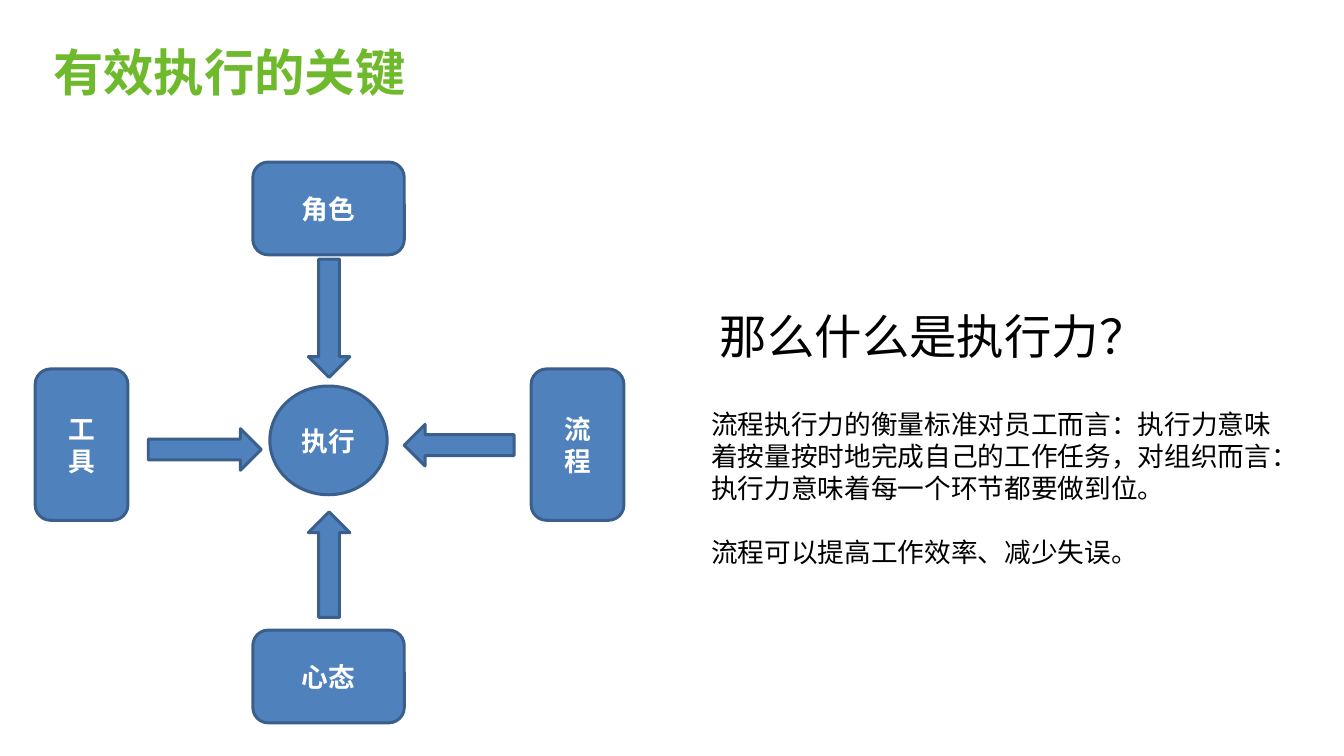
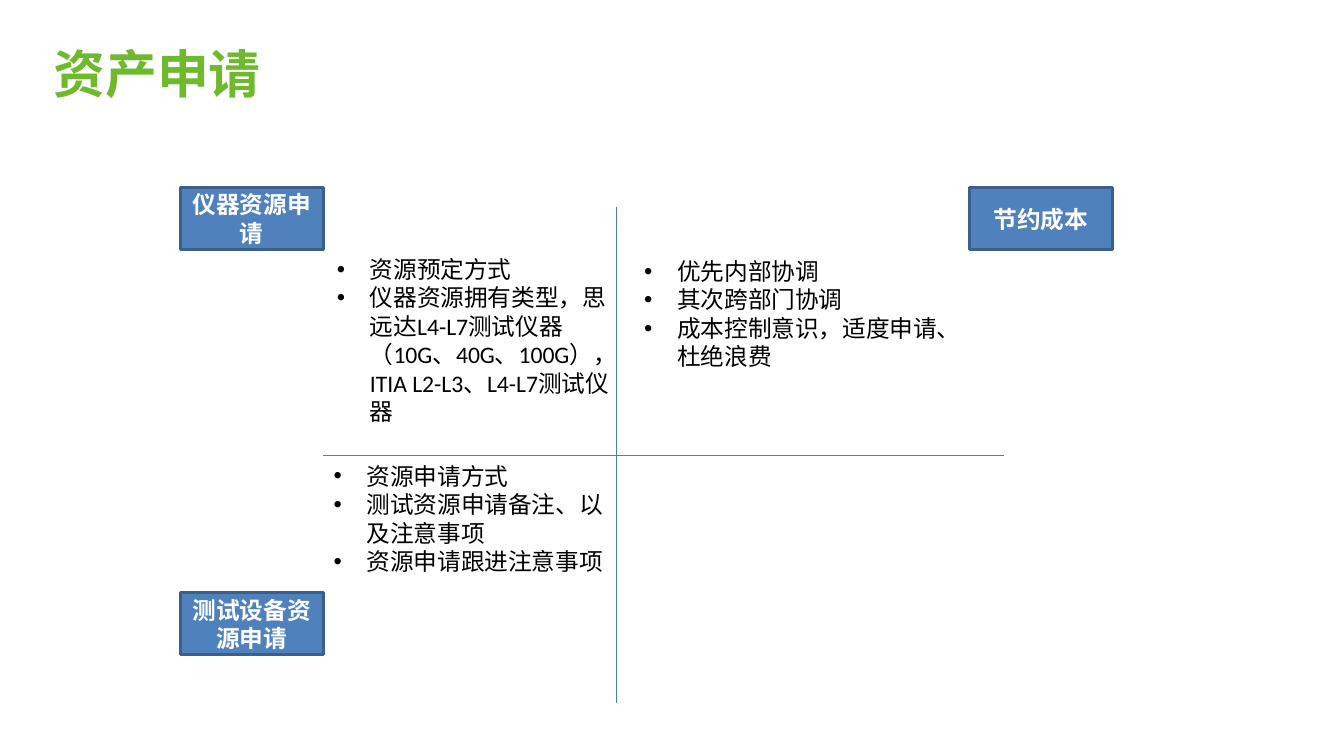
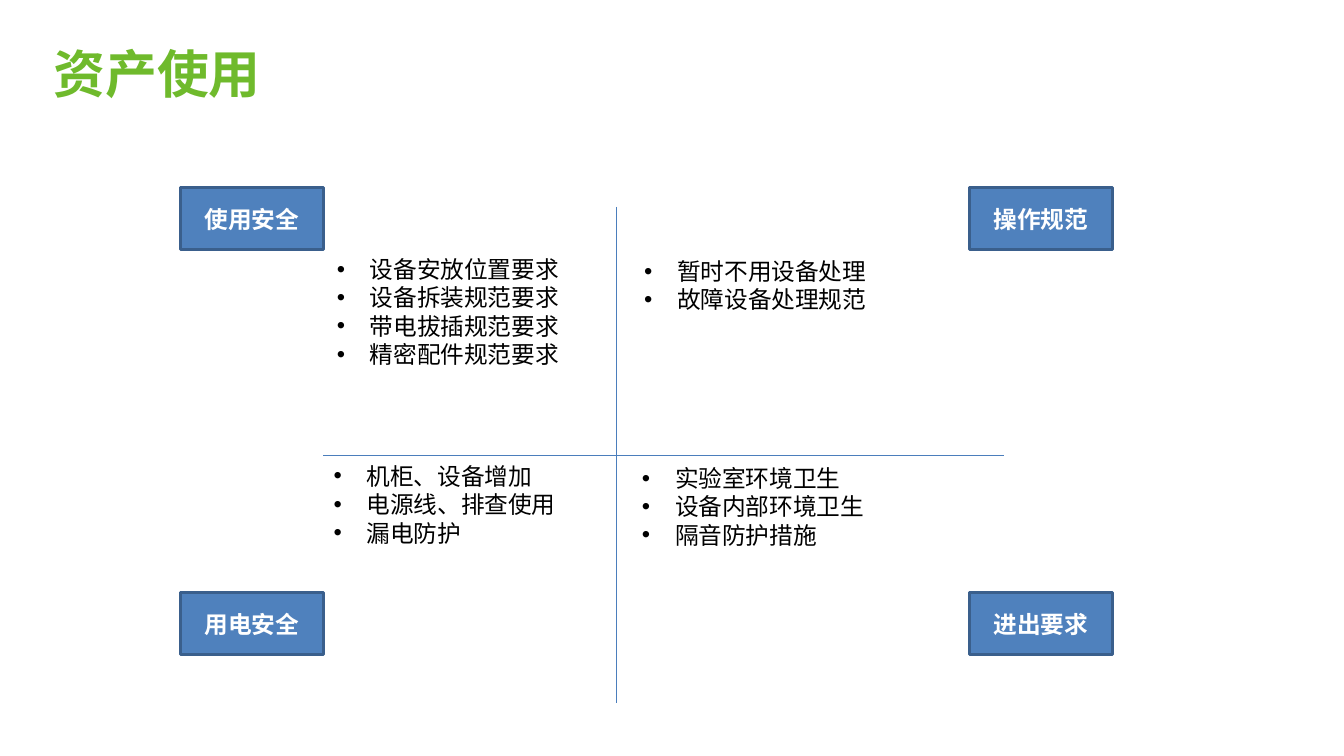
from lxml import etree
from pptx import Presentation
from pptx.dml.color import RGBColor
from pptx.enum.shapes import MSO_CONNECTOR, MSO_SHAPE
from pptx.enum.text import MSO_ANCHOR, MSO_AUTO_SIZE, PP_ALIGN
from pptx.oxml.ns import qn
from pptx.util import Inches, Pt

RECT, ROUND, OVAL = MSO_SHAPE.RECTANGLE, MSO_SHAPE.ROUNDED_RECTANGLE, MSO_SHAPE.OVAL
RIGHT, LEFT = MSO_SHAPE.RIGHT_ARROW, MSO_SHAPE.LEFT_ARROW
DOWN, UP = MSO_SHAPE.DOWN_ARROW, MSO_SHAPE.UP_ARROW
STRAIGHT = MSO_CONNECTOR.STRAIGHT
TOP, MIDDLE = MSO_ANCHOR.TOP, MSO_ANCHOR.MIDDLE
START, CENTER = PP_ALIGN.LEFT, PP_ALIGN.CENTER
FIXED = MSO_AUTO_SIZE.NONE

COLORS = {"title": "6FBA2C", "fill": "4F81BD", "edge": "3A5F8C",
          "axis": "4B7EBC", "text": "000000", "light": "FFFFFF"}
LATIN, HAN = "Calibri", "Noto Sans CJK SC"


def color(name):
    return RGBColor.from_string(COLORS[name])


class Deck:
    def __init__(self):
        self.prs = Presentation()
        self.prs.slide_width, self.prs.slide_height = Inches(12.6), Inches(7.09)
        self.slide = None

    def style(self, frame, size, tint, bold=False, face=LATIN, align=START):
        for para in frame.paragraphs:
            para.alignment = align
            for run in para.runs:
                font = run.font
                font.size, font.bold, font.name = Pt(size), bold, face
                font.color.rgb = color(tint)
                # East Asian typeface
                etree.SubElement(font._element, qn("a:ea"), typeface=HAN)

    def page(self, title, size, width):
        self.slide = self.prs.slides.add_slide(self.prs.slide_layouts[5])
        head = self.slide.shapes.title
        head.left, head.top = Inches(0.4), Inches(0.34)
        head.width, head.height = Inches(width), Inches(0.68)
        frame = head.text_frame
        frame.text = title
        frame.word_wrap, frame.auto_size = True, FIXED
        frame.vertical_anchor = TOP
        self.style(frame, size, "title", True, HAN)

    def box(self, kind, left, top, width, height, text="", size=18):
        shape = self.slide.shapes.add_shape(
            kind, Inches(left), Inches(top), Inches(width), Inches(height))
        shape.shadow.inherit = False
        shape.fill.solid()
        shape.fill.fore_color.rgb = color("fill")
        shape.line.color.rgb = color("edge")
        shape.line.width = Pt(2)
        if text:
            frame = shape.text_frame
            frame.text = text
            frame.word_wrap, frame.vertical_anchor = True, MIDDLE
            self.style(frame, size, "light", True, align=CENTER)

    def text(self, left, top, width, height, lines, size, bullet=False, gap=0):
        area = self.slide.shapes.add_textbox(
            Inches(left), Inches(top), Inches(width), Inches(height))
        frame = area.text_frame
        frame.text = "\n".join(lines)
        frame.word_wrap = True
        for para in frame.paragraphs:
            if bullet:
                props = para._p.get_or_add_pPr()
                props.set("marL", str(Inches(0.31)))
                props.set("indent", str(-Inches(0.31)))
                etree.SubElement(props, qn("a:buFont"), typeface="Arial")
                etree.SubElement(props, qn("a:buChar"), char="•")
        if gap:
            for para in frame.paragraphs[1:]:
                para.space_before = Pt(gap)
        self.style(frame, size, "text")

    def line(self, *ends):
        rule = self.slide.shapes.add_connector(STRAIGHT, *map(Inches, ends))
        rule.line.color.rgb = color("axis")
        rule.line.width = Pt(0.75)
        etree.SubElement(rule._element.spPr, qn("a:effectLst"))

    def quad(self, title, parts):
        """Four fields around a cross, in the order of FIELDS."""
        self.page(title, 35, 2.4)
        self.line(3.03, 4.27, 9.41, 4.27)
        self.line(5.78, 1.94, 5.78, 6.59)
        for (tag, spot), (label, items) in zip(FIELDS, parts):
            self.text(*spot, 0.1 + 0.27 * len(items), items, 16, bullet=True)
            self.box(RECT, *tag, 1.34, 0.58, label, 16)


# Label corner, then list corner and list width
FIELDS = [((1.69, 1.76), (3.06, 2.34, 2.76)),
          ((1.69, 5.56), (3.03, 4.28, 2.76)),
          ((9.09, 1.76), (5.94, 2.36, 2.99)),
          ((9.09, 5.56), (5.92, 4.3, 2.99))]


def main():
    deck = Deck()

    # Keys to execution: hub, four factors, arrows pointing in
    deck.page("有效执行的关键", 34, 3.8)
    deck.box(OVAL, 2.53, 3.62, 1.1, 1.02, "执行")
    for left, label in ((0.33, "工\n具"), (4.98, "流\n程")):
        deck.box(ROUND, left, 3.46, 0.87, 1.42, label)
    for top, label in ((1.52, "角色"), (5.91, "心态")):
        deck.box(ROUND, 2.37, top, 1.42, 0.87, label)
    deck.box(RIGHT, 1.39, 4.02, 1.06, 0.39)
    deck.box(LEFT, 3.79, 3.98, 1.03, 0.39)
    deck.box(DOWN, 2.89, 2.43, 0.39, 1.11)
    deck.box(UP, 2.89, 4.8, 0.39, 0.99)
    deck.text(6.65, 2.83, 5.61, 0.64, ["那么什么是执行力？"], 32)
    deck.text(6.57, 3.78, 5.61, 1.61, [
        "流程执行力的衡量标准对员工而言：执行力意味着按量按时地完成自己的工作任务，"
        "对组织而言：执行力意味着每一个环节都要做到位。",
        "流程可以提高工作效率、减少失误。"], 18, gap=21.6)

    # Requesting assets
    deck.quad("资产申请", [
        ("仪器资源申请", [
            "资源预定方式",
            "仪器资源拥有类型，思远达L4-L7测试仪器（10G、40G、100G），"
            "ITIA L2-L3、L4-L7测试仪器"]),
        ("测试设备资源申请", [
            "资源申请方式", "测试资源申请备注、以及注意事项", "资源申请跟进注意事项"]),
        ("节约成本", [
            "优先内部协调", "其次跨部门协调", "成本控制意识，适度申请、杜绝浪费"])])

    # Using assets
    deck.quad("资产使用", [
        ("使用安全", ["设备安放位置要求", "设备拆装规范要求",
                  "带电拔插规范要求", "精密配件规范要求"]),
        ("用电安全", ["机柜、设备增加", "电源线、排查使用", "漏电防护"]),
        ("操作规范", ["暂时不用设备处理", "故障设备处理规范"]),
        ("进出要求", ["实验室环境卫生", "设备内部环境卫生", "隔音防护措施"])])

    deck.prs.save("out.pptx")


if __name__ == "__main__":
    main()
